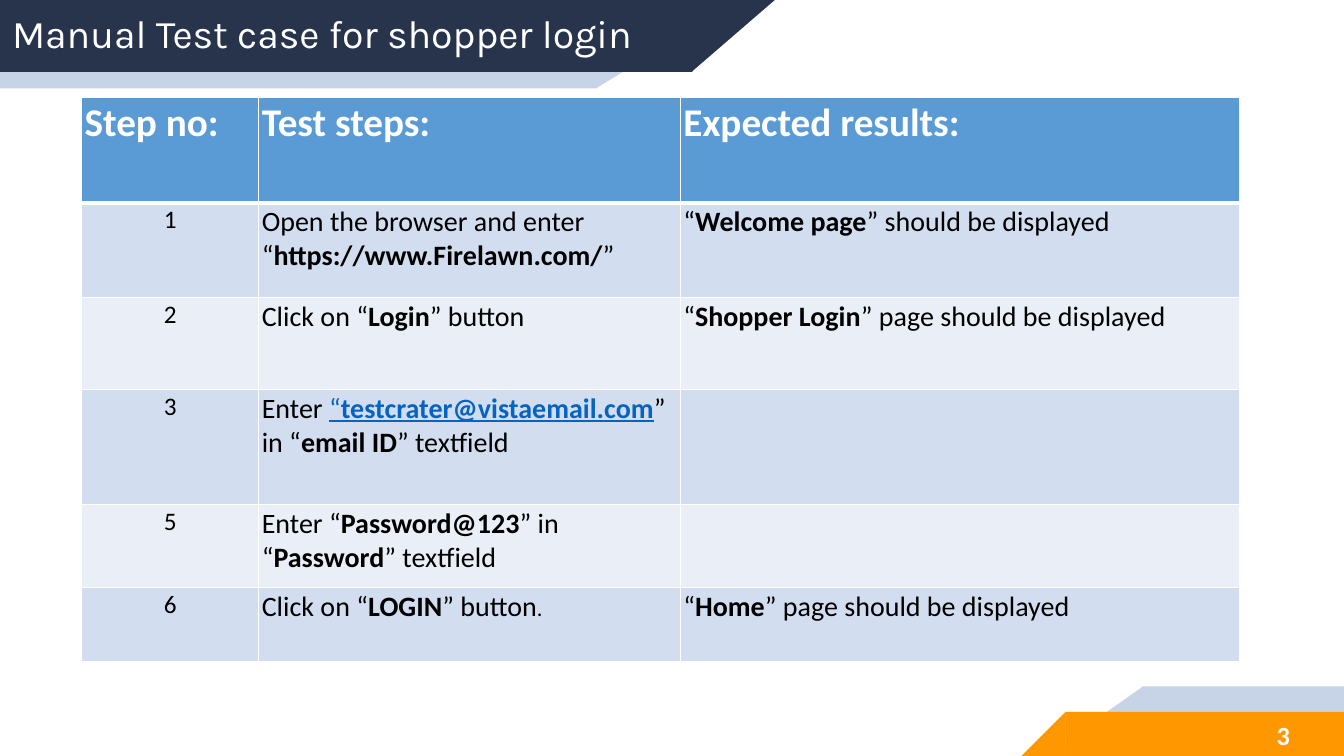
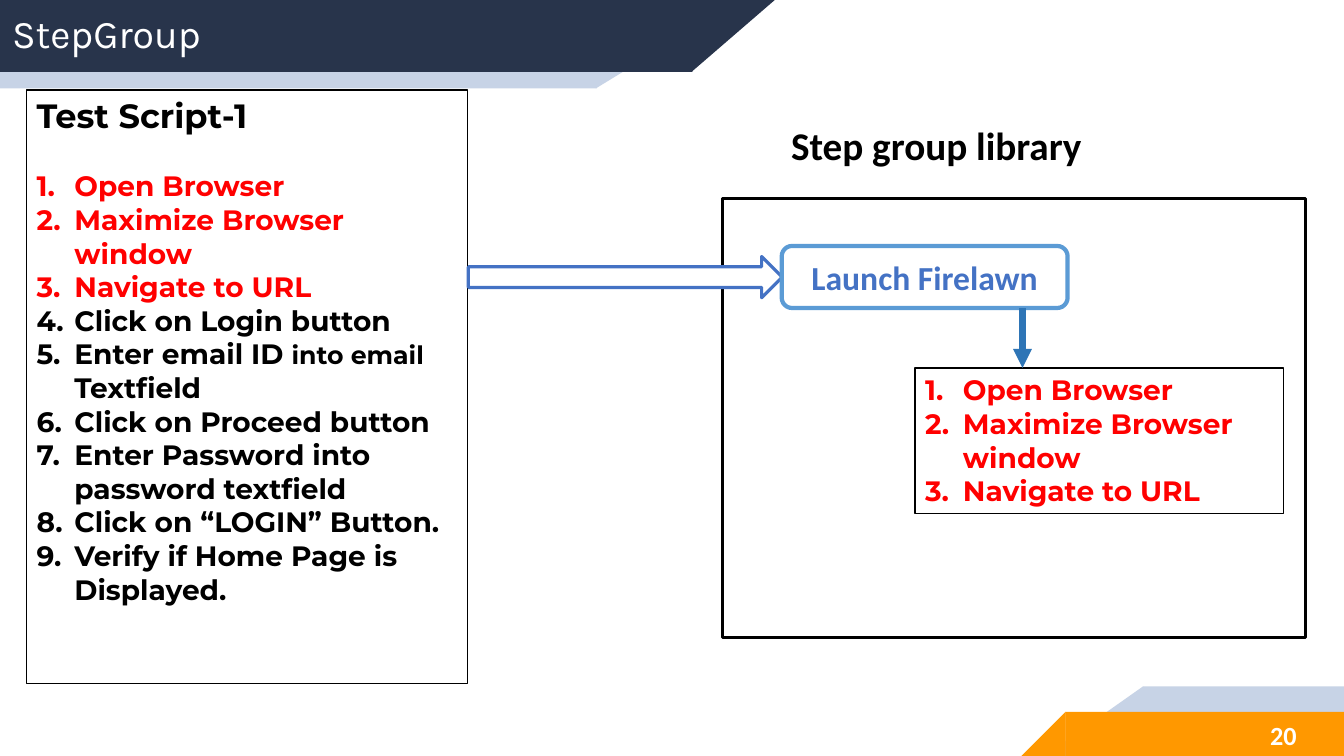
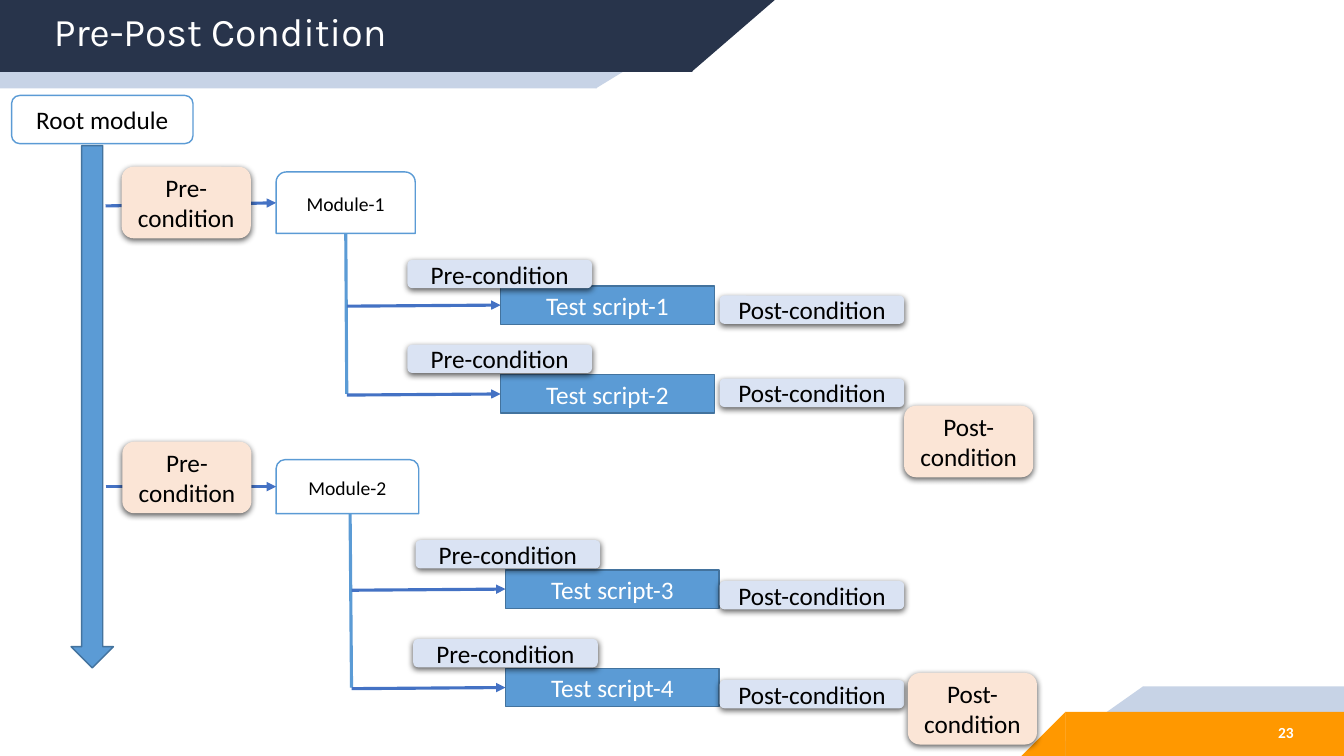
import lxml.etree
import pptx
import pptx.dml.color
import pptx.enum.shapes
import pptx.enum.text
import pptx.oxml.ns
import pptx.util

Pt = pptx.util.Pt
qn = pptx.oxml.ns.qn
SHAPE = pptx.enum.shapes.MSO_SHAPE
ALIGN = pptx.enum.text.PP_ALIGN
ANCHOR = pptx.enum.text.MSO_ANCHOR

WHITE, BLACK, RED = "FFFFFF", "000000", "FF0000"
NAVY, PALE_BLUE, ORANGE = "28344B", "C7D3E6", "FF9800"
BLUE, DARK_BLUE, ARROW_BLUE, DEEP_BLUE = "5B9BD5", "43739E", "4472C4", "2E75B6"
LINK_BLUE, CARD_BLUE, CARD_PEACH = "0563C1", "DAE3F3", "FBE5D6"
ROW_FILLS = ("D2DEEF", "EAEFF7")


def rgb(color):
    return pptx.dml.color.RGBColor.from_string(color)


def points(box):
    return [Pt(length) for length in box]


def add_xml(parent, tag, **attributes):
    return lxml.etree.SubElement(parent, qn(tag), {k: str(v) for k, v in attributes.items()})


def bold(text):
    return text, {"bold": True}


def style(font, size=None, color=None, bold=None, underline=None, name=None):
    """Set only the font properties that are given."""
    if size:
        font.size = Pt(size)
    if color:
        font.color.rgb = rgb(color)
    if name:
        font.name = name
    if bold is not None:
        font.bold = bold
    if underline is not None:
        font.underline = underline


def write(paragraph, content, align=ALIGN.LEFT, **font):
    """Fill a paragraph; content is a string or a list of strings and (text, font) pairs."""
    paragraph.alignment = align
    style(paragraph.font, **{"name": "Calibri", "color": BLACK, **font})
    for part in [content] if isinstance(content, str) else content:
        text, own_font = (part, {}) if isinstance(part, str) else part
        run = paragraph.add_run()
        run.text = text
        if own_font:
            style(run.font, **own_font)


def set_frame(frame, anchor=ANCHOR.MIDDLE, margins=(7.2, 3.6, 7.2, 3.6)):
    frame.word_wrap = True
    frame.auto_size = pptx.enum.text.MSO_AUTO_SIZE.NONE
    frame.vertical_anchor = anchor
    (frame.margin_left, frame.margin_top,
     frame.margin_right, frame.margin_bottom) = points(margins)


def place(shape, box):
    shape.left, shape.top, shape.width, shape.height = points(box)


class Deck:
    WIDTH, HEIGHT = 960, 540
    TITLE_ONLY, TWO_LISTS = 5, 3
    # colour, bar, slanted end, flip of the slanted end
    BANDS = (
        (PALE_BLUE, (0, -0.6, 426.2, 63.8), (425.6, -0.6, 104.2, 63.8), "flipV"),
        (NAVY, (0, -0.6, 494.6, 52), (494, -0.6, 60.2, 52), "flipV"),
        (PALE_BLUE, (816.4, 490.2, 143.6, 49.8), (746, 490.2, 70.6, 49.8), "flipH"),
        (ORANGE, (761, 508.4, 199, 31.6), (729.6, 508.4, 31.6, 31.6), "flipH"),
    )

    def __init__(self):
        self.file = pptx.Presentation()
        self.file.slide_width, self.file.slide_height = Pt(self.WIDTH), Pt(self.HEIGHT)
        self.slide = None

    def new_slide(self, title, number, layout=TITLE_ONLY, title_box=(0, 10.4, 530, 30.3),
                  number_box=(885, 509, 63.4, 32.4), number_size=18.7):
        first = self.slide is None
        self.slide = self.file.slides.add_slide(self.file.slide_layouts[layout])
        if first:
            self.add_master_bands()
        heading = self.slide.shapes.title
        place(heading, title_box)
        set_frame(heading.text_frame, margins=(8.6, 0, 0, 0))
        line = heading.text_frame.paragraphs[0]
        line.line_spacing = 0.9
        write(line, title, size=28, color=WHITE, name="Karla")
        self.label(number_box, number, align=ALIGN.CENTER, anchor=ANCHOR.MIDDLE,
                   margins=(7.2,) * 4, size=number_size, color=WHITE, bold=True)

    def add_master_bands(self):
        """Draw the bands on the current slide, then move them to the master."""
        master = self.file.slide_master.shapes.element
        shape_id = 20
        for color, bar_box, end_box, flip in self.BANDS:
            bar = self.shape(SHAPE.RECTANGLE, bar_box, fill=color)
            end = self.shape(SHAPE.RIGHT_TRIANGLE, end_box, fill=color)
            end.element.spPr.find(qn("a:xfrm")).set(flip, "1")
            for part in (bar, end):
                part.element.nvSpPr.cNvPr.id = shape_id
                shape_id += 1
                master.append(part.element)

    def paint(self, shape, fill=None, line=None, line_width=1):
        shape.shadow.inherit = False
        if fill:
            shape.fill.solid()
            shape.fill.fore_color.rgb = rgb(fill)
        else:
            shape.fill.background()
        if line:
            shape.line.color.rgb = rgb(line)
            shape.line.width = Pt(line_width)
        else:
            shape.line.fill.background()

    def shape(self, kind, box, text=None, fill=None, line=None, line_width=1, **font):
        shape = self.slide.shapes.add_shape(kind, *points(box))
        self.paint(shape, fill, line, line_width)
        if text:
            set_frame(shape.text_frame)
            write(shape.text_frame.paragraphs[0], text, ALIGN.CENTER, **font)
        return shape

    def card(self, box, text, fill):
        """A rounded box with a soft shadow below it."""
        card = self.shape(SHAPE.ROUNDED_RECTANGLE, box, text, fill, size=18)
        shadow = add_xml(card.element.spPr.find(qn("a:effectLst")), "a:outerShdw",
                         blurRad=Pt(4.5), dist=Pt(1.5), dir=5400000, algn="ctr", rotWithShape=0)
        add_xml(add_xml(shadow, "a:srgbClr", val=BLACK), "a:alpha", val=63000)

    def label(self, box, text, anchor=ANCHOR.TOP, margins=(7.2, 3.6, 7.2, 3.6), **font):
        label = self.slide.shapes.add_textbox(*points(box))
        set_frame(label.text_frame, anchor, margins)
        write(label.text_frame.paragraphs[0], text, **font)

    def line(self, start, end, color, width=2.25, arrow=True):
        line = self.slide.shapes.add_connector(
            pptx.enum.shapes.MSO_CONNECTOR.STRAIGHT, *points(start + end))
        line.line.color.rgb = rgb(color)
        line.line.width = Pt(width)
        properties = line.element.spPr
        if arrow:
            add_xml(properties.find(qn("a:ln")), "a:tailEnd", type="triangle")
        add_xml(properties, "a:effectLst")

    def numbered_list(self, index, box, steps, heading=None):
        """Fill a body placeholder with (content, colour) steps under an optional heading."""
        body = self.slide.placeholders[index]
        place(body, box)
        body.line.color.rgb = rgb(BLACK)
        body.line.width = Pt(1)
        frame = body.text_frame
        set_frame(frame, ANCHOR.TOP)
        entries = [(heading, BLACK)] if heading else []
        for position, (content, color) in enumerate(entries + steps):
            paragraph = frame.paragraphs[0] if position == 0 else frame.add_paragraph()
            is_heading = bool(heading) and position == 0
            paragraph.space_before = Pt(0)
            paragraph.space_after = Pt(23.9 if is_heading else 0)
            settings = paragraph._p.get_or_add_pPr()
            hang = Pt(0 if is_heading else 27)
            settings.set("marL", str(hang))
            settings.set("indent", str(-hang))
            if is_heading:
                add_xml(settings, "a:buNone")
            else:
                add_xml(add_xml(settings, "a:buClr"), "a:srgbClr", val=color)
                add_xml(settings, "a:buFont", typeface="Montserrat")
                add_xml(settings, "a:buAutoNum", type="arabicPeriod")
            write(paragraph, content, size=24 if is_heading else 20, color=color,
                  bold=True, name="Montserrat")

    def table(self, corner, widths, heights, header, rows):
        table = self.slide.shapes.add_table(
            len(heights), len(widths), *points(corner + (sum(widths), sum(heights)))).table
        for column, width in zip(table.columns, widths):
            column.width = Pt(width)
        for row, height in zip(table.rows, heights):
            row.height = Pt(height)
        for column, text in enumerate(header):
            self.cell(table.cell(0, column), text, BLUE, rule_below=3,
                      size=28, color=WHITE, bold=True)
        for number, row in enumerate(rows, 1):
            for column, content in enumerate(row):
                font = {"size": 20} if column else {"size": 18, "align": ALIGN.CENTER}
                self.cell(table.cell(number, column), content, ROW_FILLS[(number - 1) % 2],
                          rule_above=3 if number == 1 else 1, bold=False, **font)

    def cell(self, cell, content, fill, rule_above=1, rule_below=1, **font):
        cell.margin_left = cell.margin_right = Pt(2.2)
        cell.margin_top = cell.margin_bottom = Pt(1.4)
        rules = (("a:lnL", 1), ("a:lnR", 1), ("a:lnT", rule_above), ("a:lnB", rule_below))
        for tag, width in rules:
            rule = add_xml(cell._tc.get_or_add_tcPr(), tag, w=Pt(width))
            add_xml(add_xml(rule, "a:solidFill"), "a:srgbClr", val=WHITE)
        cell.fill.solid()
        cell.fill.fore_color.rgb = rgb(fill)
        if content:
            write(cell.text_frame.paragraphs[0], content, **font)


def login_test_case(deck):
    deck.new_slide("Manual Test case for shopper login", "3")
    link = {"color": LINK_BLUE, "underline": True}
    deck.table(
        (58.3, 69.4), (126.5, 301.2, 399.4), (75.6, 67.5, 65.9, 82, 59.6, 52.4),
        ("Step no:", "Test steps:", "Expected results:"),
        [
            ("1", ["Open the browser and enter “", bold("https://www.Firelawn.com/"), "”"],
             ["“", bold("Welcome page"), "” should be displayed"]),
            ("2", ["Click on “", bold("Login"), "” button"],
             ["“", bold("Shopper Login"), "” page should be displayed"]),
            ("3", ["Enter ", ("“", link),
                   ("testcrater@vistaemail.com", {"bold": True, **link}),
                   "” in “", bold("email ID"), "” textfield"], None),
            ("5", ["Enter “", bold("Password@123"), "” in “", bold("Password"),
                   "” textfield"], None),
            ("6", ["Click on “", bold("LOGIN"), "” button", (".", {"size": 16})],
             ["“", bold("Home"), "” page should be displayed"]),
        ])


def step_group(deck):
    deck.new_slide("StepGroup", "20", layout=deck.TWO_LISTS)
    launch_steps = [(step, RED) for step in (
        "Open Browser", "Maximize Browser window", "Navigate to URL")]
    login_steps = [(step, BLACK) for step in (
        "Click on Login button",
        ["Enter email ID ", ("into email ", {"size": 18}), "Textfield"],
        "Click on Proceed button",
        "Enter Password into password textfield",
        "Click on “LOGIN” Button.",
        "Verify if Home Page is Displayed.")]
    deck.numbered_list(1, (18.9, 64.3, 315, 424), launch_steps + login_steps, "Test Script-1")
    deck.numbered_list(2, (653.6, 262.8, 263.4, 104.2), launch_steps)
    deck.label((558, 82.8, 285.8, 41), "Step group library", size=28, bold=True)
    deck.shape(SHAPE.RECTANGLE, (516.2, 141.6, 416.6, 313.6), line=BLACK, line_width=2.25)
    deck.shape(SHAPE.RIGHT_ARROW, (334.5, 183.2, 224.3, 29.5),
               fill=WHITE, line=ARROW_BLUE, line_width=2.25)
    deck.shape(SHAPE.ROUNDED_RECTANGLE, (558.4, 175.7, 204.2, 44.3), "Launch Firelawn",
               WHITE, BLUE, 3, size=24, color=ARROW_BLUE, bold=True)
    deck.line((730.4, 220.3), (730.4, 262.8), DEEP_BLUE, 4.5)


def pre_post_condition(deck):
    deck.new_slide("Pre-Post Condition", "23", title_box=(29.9, 9, 500, 30.3),
                   number_box=(888.5, 509, 60.2, 28.1), number_size=11)
    deck.shape(SHAPE.DOWN_ARROW, (50.8, 104, 30.2, 373), fill=BLUE, line=DARK_BLUE)
    deck.shape(SHAPE.ROUNDED_RECTANGLE, (8.3, 68.2, 129.6, 34.4), "Root module",
               WHITE, BLUE, size=18)

    # name, box, trunk top and bottom x, arrow start and end y, outer cards,
    # scripts as (name, left, top, pre-condition corner, post-condition top)
    modules = (
        ("Module-1", (197.2, 122.8, 99.4, 43.9), (247, 247.7), (147.1, 144.9),
         (86.9, 119.1), (645.8, 289.8),
         (("Test script-1", 357.6, 204.2, (291.1, 185.6), 211.1),
          ("Test script-2", 357.6, 267.7, (291.1, 246.2), 270.5))),
        ("Module-2", (197.2, 328.3, 101.9, 38.6), (250.1, 251.1), (347.6, 347.6),
         (87.4, 315.5), (648.5, 480.7),
         (("Test script-3", 361.1, 407.1, (296.9, 385.8), 415),
          ("Test script-4", 361.1, 477.4, (295.2, 456.4), 485.7))),
    )
    script_size, small_card, large_card = (152.6, 27.4), (131.8, 20.2), (92.2, 51.1)
    for name, box, trunk, entry, pre_corner, post_corner, scripts in modules:
        deck.shape(SHAPE.ROUND_2_SAME_RECTANGLE, box, name, WHITE, BLUE, size=14)
        deck.line((75.4, entry[0]), (box[0], entry[1]), ARROW_BLUE)
        trunk_end = scripts[-1][2] + script_size[1] / 2
        deck.line((trunk[0], box[1] + box[3]), (trunk[1], trunk_end), BLUE, arrow=False)
        for script, left, top, pre_script, post_top in scripts:
            middle = top + script_size[1] / 2
            deck.line((trunk[1], middle + 0.8), (left, middle), ARROW_BLUE)
            deck.shape(SHAPE.RECTANGLE, (left, top) + script_size, script,
                       BLUE, DARK_BLUE, size=18, color=WHITE)
            deck.card(pre_script + small_card, "Pre-condition", CARD_BLUE)
            deck.card((514.1, post_top) + small_card, "Post-condition", CARD_BLUE)
        deck.card(pre_corner + large_card, "Pre-condition", CARD_PEACH)
        deck.card(post_corner + large_card, "Post-condition", CARD_PEACH)


def main():
    deck = Deck()
    login_test_case(deck)
    step_group(deck)
    pre_post_condition(deck)
    deck.file.save("out.pptx")


if __name__ == "__main__":
    main()
